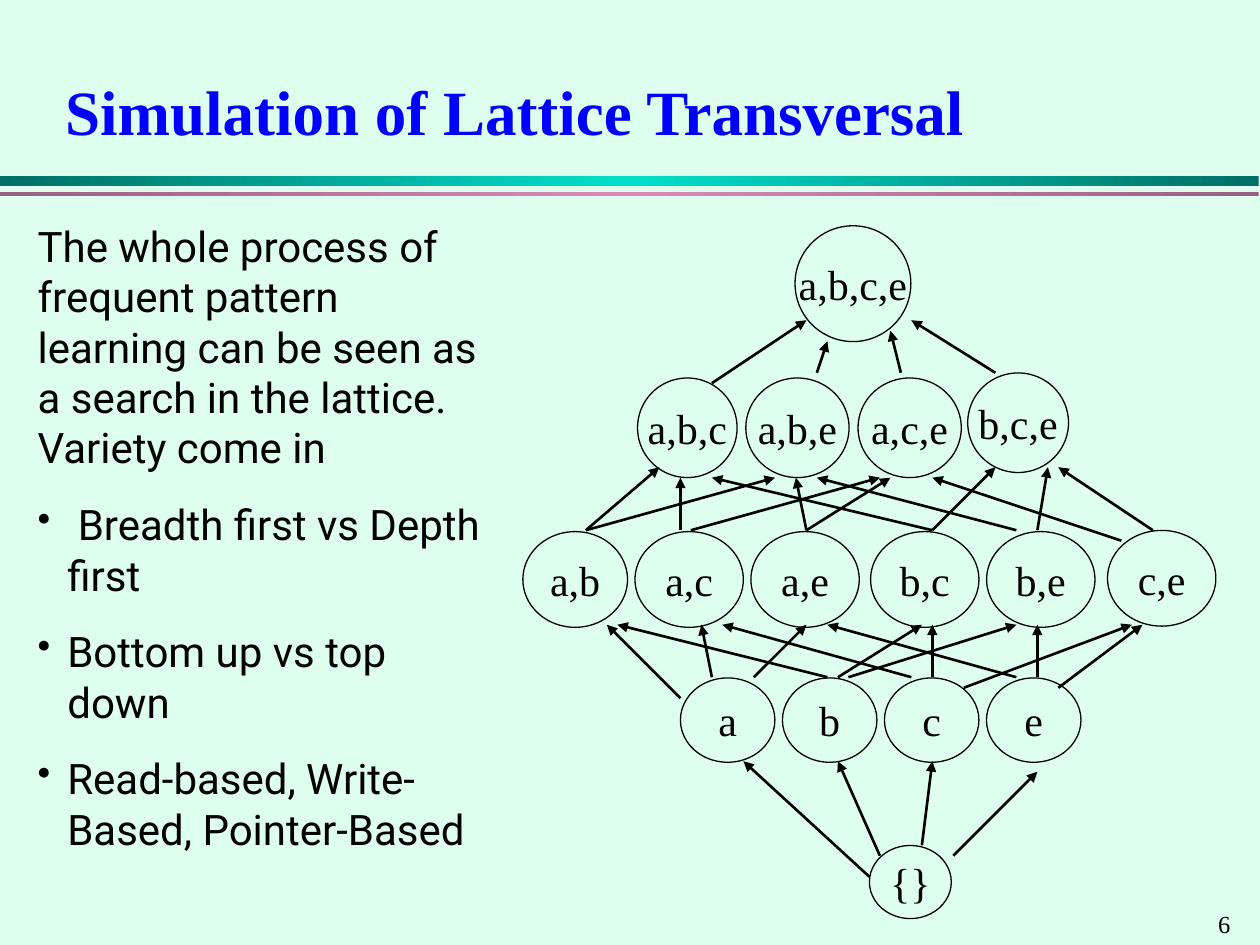
from lxml import etree
from pptx import Presentation
from pptx.dml.color import RGBColor
from pptx.enum.shapes import MSO_CONNECTOR, MSO_SHAPE
from pptx.enum.text import MSO_ANCHOR, PP_ALIGN
from pptx.oxml.ns import qn
from pptx.util import Pt

STRAIGHT = MSO_CONNECTOR.STRAIGHT
RECTANGLE = MSO_SHAPE.RECTANGLE
OVAL = MSO_SHAPE.OVAL
MIDDLE = MSO_ANCHOR.MIDDLE
CENTER = PP_ALIGN.CENTER

SERIF = "Times New Roman"
SANS = "Roboto"
BLACK = "000000"
BLUE = "0000FF"
MINT = "DEFEEE"
GRID = 6

BANDS = [
    (0, 5.6, ("006F65", "00DFCA", "006F65")),
    (8.8, 2.7, ("976080", "D989B8", "976080")),
]
BODY = [
    "The whole process of frequent pattern learning can be seen as a search in the lattice. Variety come in",
    " Breadth first vs Depth first",
    "Bottom up vs top down",
    "Read-based, Write-Based, Pointer-Based",
]
NODES = [
    ("a,c", 64.1, 174.8, 61.9, 54.7),
    ("a,e", 130.3, 174.8, 61.9, 54.7),
    ("b,e", 265, 174.8, 61.9, 54.7),
    ("b,c", 198.7, 174.8, 61.9, 54.7),
    ("a,b", 0, 174.8, 59.8, 54.7),
    ("c,e", 334.1, 174.1, 61.9, 54.7),
    ("b,c,e", 254.2, 84.1, 57.6, 56.9),
    ("a,b,e", 127.4, 87, 59, 56.9),
    ("a,c,e", 191.5, 87, 59, 56.9),
    ("a,b,c", 65.5, 87, 56.9, 56.9),
    *[(label, 90 + 58.3 * i, 258.4, 54, 48.2) for i, label in enumerate("abce")],
    ("a,b,c,e", 155.5, 0, 66.2, 66.2),
    ("{}", 198, 354.1, 46.8, 41.8),
]
ARROWS = [
    (41, 60, 49, 52), (38, 59, 39, 51), (34, 60, 30, 51), (33, 62, 21, 51),
    (15, 45, 8, 38), (18, 43, 17, 38), (22, 43, 27, 38), (30, 43, 38, 38),
    (29, 43, 9, 38), (31, 43, 47, 38), (37, 43, 19, 38), (39, 43, 39, 38),
    (42, 44, 58, 38), (47, 43, 29, 38), (49, 43, 49, 38), (51, 44, 59, 38),
    (6, 29, 13, 23), (6, 29, 24, 24), (15, 29, 15, 24), (16, 29, 34, 24),
    (27, 29, 26, 24), (27, 29, 35, 24), (39, 29, 18, 24), (39, 29, 45, 23),
    (47, 29, 28, 24), (49, 29, 50, 23), (57, 30, 39, 24), (60, 29, 51, 23),
    (18, 15, 27, 9), (28, 14, 29, 11), (36, 14, 35, 10), (45, 14, 37, 9),
]


def color(value):
    return RGBColor.from_string(value)


def format_text(paragraph, size, name, value, bold=False):
    for run in paragraph.runs:
        run.font.size = Pt(size)
        run.font.name = name
        run.font.bold = bold
        run.font.color.rgb = color(value)


def add_text(slide, box, text, size, value, bold=False):
    shape = slide.shapes.add_textbox(*map(Pt, box))
    frame = shape.text_frame
    frame.word_wrap = True
    frame.text = text
    format_text(frame.paragraphs[0], size, SERIF, value, bold)
    return frame


def add_bands(slide, left, top, width):
    for offset, height, stops in BANDS:
        shape = slide.shapes.add_shape(RECTANGLE, Pt(left), Pt(top + offset), Pt(width), Pt(height))
        shape.shadow.inherit = False
        shape.line.fill.background()
        shape.fill.gradient()
        shape.fill.gradient_angle = 0
        stop_list = shape._element.spPr.find(qn("a:gradFill")).find(qn("a:gsLst"))
        for old_stop in list(stop_list):
            stop_list.remove(old_stop)
        for index, value in enumerate(stops):
            stop = etree.SubElement(stop_list, qn("a:gs"), pos=str(index * 50000))
            etree.SubElement(stop, qn("a:srgbClr"), val=value)


def add_bullet(paragraph):
    properties = paragraph._p.get_or_add_pPr()
    properties.set("marL", str(Pt(17)))
    properties.set("indent", str(-Pt(17)))
    bullet_color = etree.SubElement(properties, qn("a:buClr"))
    etree.SubElement(bullet_color, qn("a:srgbClr"), val=BLACK)
    etree.SubElement(properties, qn("a:buSzPct"), val="90000")
    etree.SubElement(properties, qn("a:buChar"), char="•")


def add_body(slide, box):
    frame = slide.shapes.add_textbox(*map(Pt, box)).text_frame
    frame.word_wrap = True
    for index, text in enumerate(BODY):
        paragraph = frame.add_paragraph() if index else frame.paragraphs[0]
        paragraph.text = text
        if index:
            paragraph.space_before = Pt(15)
            add_bullet(paragraph)
        format_text(paragraph, 24, SANS, BLACK)


def add_node(slide, label, left, top, width, height):
    shape = slide.shapes.add_shape(OVAL, Pt(left), Pt(top), Pt(width), Pt(height))
    shape.shadow.inherit = False
    shape.fill.solid()
    shape.fill.fore_color.rgb = color(MINT)
    shape.line.color.rgb = color(BLACK)
    shape.line.width = Pt(0.75)
    frame = shape.text_frame
    frame.word_wrap = False
    frame.vertical_anchor = MIDDLE
    frame.text = label
    paragraph = frame.paragraphs[0]
    paragraph.alignment = CENTER
    format_text(paragraph, 24, SERIF, BLACK)


def add_arrow(slide, start_x, start_y, end_x, end_y):
    connector = slide.shapes.add_connector(STRAIGHT, Pt(start_x), Pt(start_y), Pt(end_x), Pt(end_y))
    connector.line.color.rgb = color(BLACK)
    connector.line.width = Pt(1.5)
    etree.SubElement(connector.line._get_or_add_ln(), qn("a:tailEnd"), type="triangle")
    etree.SubElement(connector._element.spPr, qn("a:effectLst"))


def add_lattice(slide, left, top):
    for label, x, y, width, height in NODES:
        add_node(slide, label, left + x, top + y, width, height)
    for start_x, start_y, end_x, end_y in ARROWS:
        add_arrow(slide, left + GRID * start_x, top + GRID * start_y,
                  left + GRID * end_x, top + GRID * end_y)


def main():
    presentation = Presentation()
    presentation.slide_width = Pt(720)
    presentation.slide_height = Pt(540)
    slide = presentation.slides.add_slide(presentation.slide_layouts[6])
    slide.background.fill.solid()
    slide.background.fill.fore_color.rgb = color(MINT)
    add_bands(slide, 0, 100.8, 719.3)
    add_text(slide, (689, 516.2, 31, 24.5), "6", 14, BLACK)
    title = add_text(slide, (30.2, 30.2, 660.2, 66.2), "Simulation of Lattice Transversal", 36, BLUE, True)
    title.vertical_anchor = MIDDLE
    add_lattice(slide, 298.8, 129)
    add_body(slide, (14.4, 122.4, 274.3, 369.4))
    presentation.save("out.pptx")


if __name__ == "__main__":
    main()
